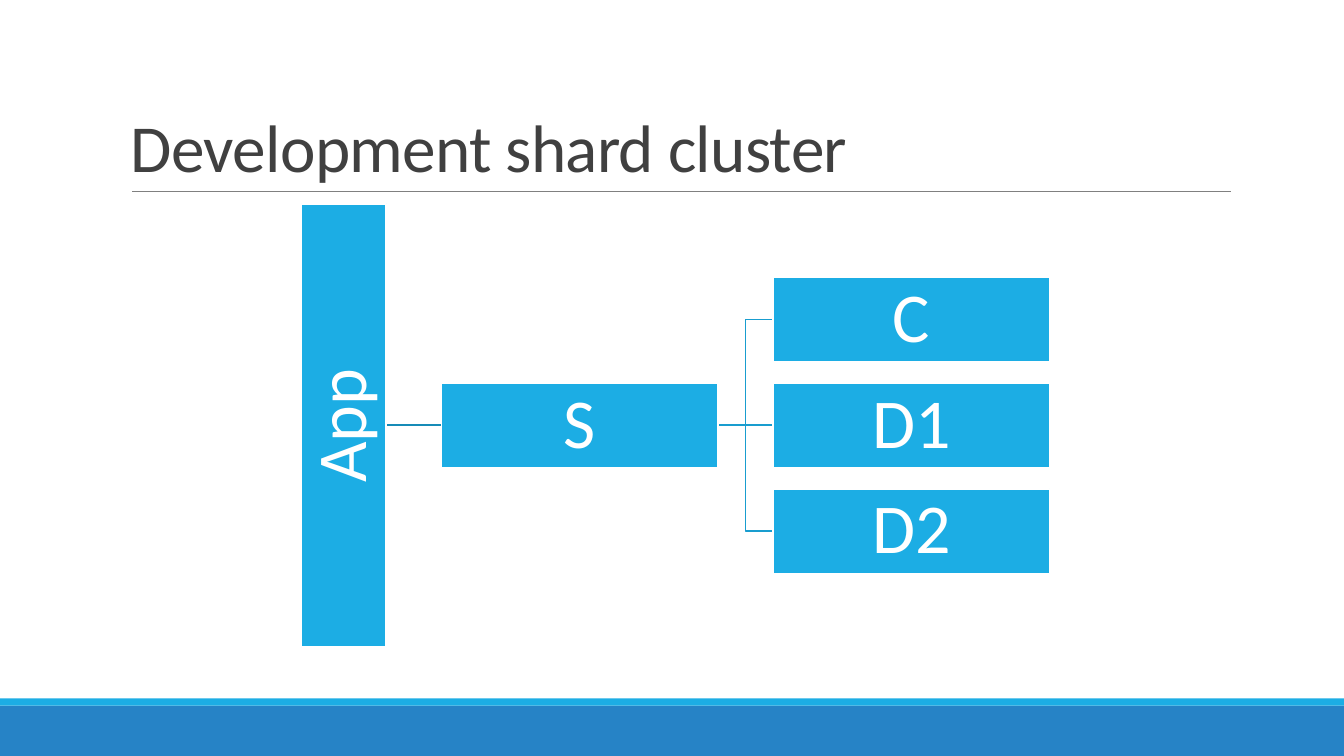
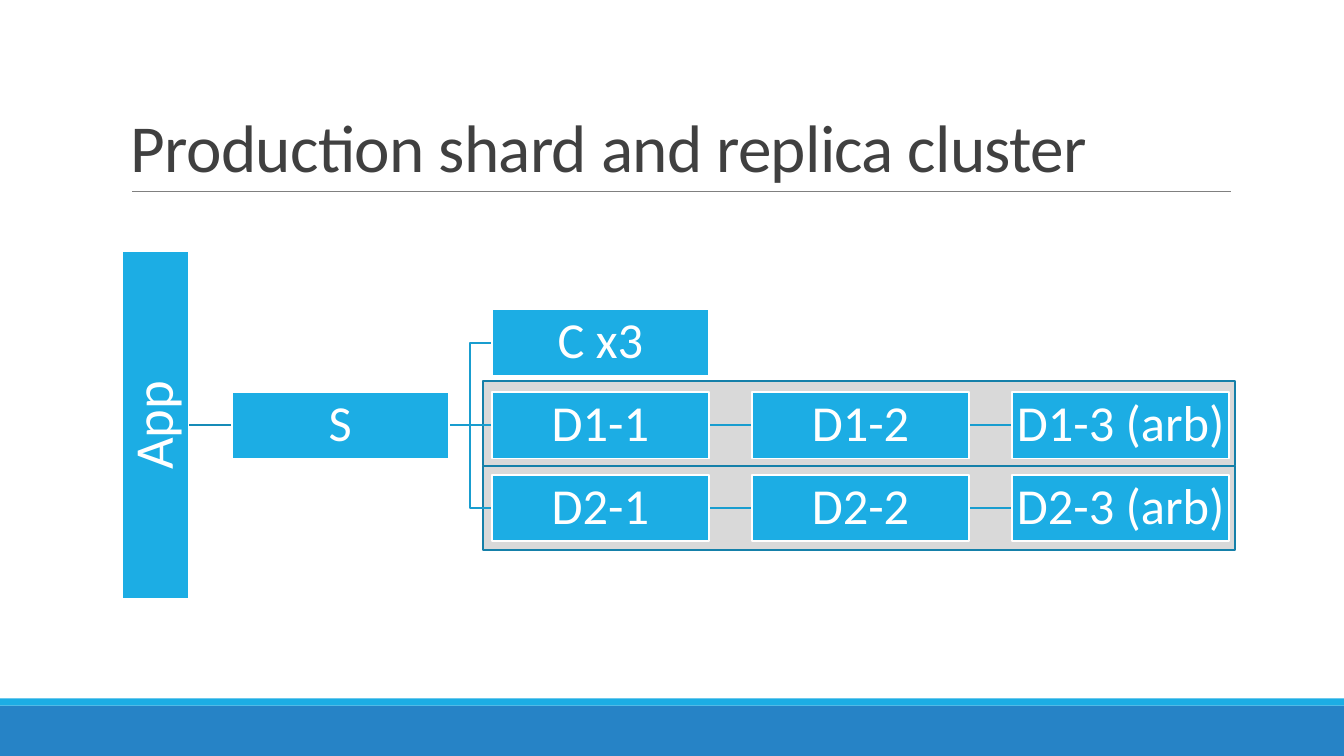
from pptx import Presentation
from pptx import util as u
from pptx.dml.color import RGBColor
from pptx.enum import shapes, text
from pptx.oxml.ns import qn
from lxml import etree

COLOURS = {
    "footer": "2683C6", "node": "1CADE4", "white": "FFFFFF", "title": "404040",
    "rule": "808080", "app_link": "168BB7", "link": "199DCF",
    "replica": "D9D9D9", "replica_edge": "1580A9",
}
FONT = "Calibri"
MIDDLE = 4.22  # height of the App - S axis on both slides

TITLE_FRAME = {"word_wrap": True, "vertical_anchor": text.MSO_ANCHOR.BOTTOM}
NODE_FRAME = {
    "word_wrap": False, "vertical_anchor": text.MSO_ANCHOR.MIDDLE,
    "margin_left": u.Inches(0.03), "margin_right": u.Inches(0.03),
    "margin_top": u.Inches(0.03), "margin_bottom": u.Inches(0.03),
}
TITLE_PARAGRAPH = {"line_spacing": 0.85, "alignment": text.PP_ALIGN.LEFT}
NODE_PARAGRAPH = {"line_spacing": 0.9, "alignment": text.PP_ALIGN.CENTER}

CLUSTERS = [
    {"title": "Development shard cluster", "left": 2.99, "app_length": 4.4,
     "width": 2.74, "height": 0.84, "gap": 0.55, "pitch": 1.05,
     "app_size": 50, "size": 50, "rows": [["C"], ["D1"], ["D2"]],
     "replica_tops": []},
    {"title": "Production shard and replica cluster", "left": 1.21, "app_length": 3.45,
     "width": 2.15, "height": 0.66, "gap": 0.43, "pitch": 0.82,
     "app_size": 39, "size": 36,
     "rows": [["C x3"], ["D1-1", "D1-2", "D1-3 (arb)"], ["D2-1", "D2-2", "D2-3 (arb)"]],
     "replica_tops": [4.62, 3.78]},
]


def box(slide, area, fill=None, edge=None, words="", size=0, ink="white",
        frame=NODE_FRAME, paragraph=NODE_PARAGRAPH):
    """Add a rectangle, or a bare text box when fill is None, and its words."""
    area = [u.Inches(length) for length in area]
    if fill:
        shape = slide.shapes.add_shape(shapes.MSO_SHAPE.RECTANGLE, *area)
        shape.shadow.inherit = False
        shape.fill.solid()
        shape.fill.fore_color.rgb = RGBColor.from_string(COLOURS[fill])
        if edge:
            shape.line.color.rgb = RGBColor.from_string(COLOURS[edge])
            shape.line.width = u.Pt(1.25)
        else:
            shape.line.fill.background()
    else:
        shape = slide.shapes.add_textbox(*area)
    if words:
        for name, value in frame.items():
            setattr(shape.text_frame, name, value)
        line = shape.text_frame.paragraphs[0]
        for name, value in paragraph.items():
            setattr(line, name, value)
        run = line.add_run()
        run.text = words
        for name, value in {"name": FONT, "size": u.Pt(size)}.items():
            setattr(run.font, name, value)
        run.font.color.rgb = RGBColor.from_string(COLOURS[ink])
    return shape


def link(slide, start, end, colour="link", weight=1.25):
    """Join two points, with an elbow when they differ in height."""
    kind = shapes.MSO_CONNECTOR.STRAIGHT if start[1] == end[1] else shapes.MSO_CONNECTOR.ELBOW
    connector = slide.shapes.add_connector(
        kind, *(u.Inches(length) for length in (*start, *end)))
    connector.line.color.rgb = RGBColor.from_string(COLOURS[colour])
    connector.line.width = u.Pt(weight)
    etree.SubElement(connector._element.spPr, qn("a:effectLst"))


deck = Presentation()
deck.slide_width = u.Inches(13.33)
deck.slide_height = u.Inches(7.5)

for cluster in CLUSTERS:
    slide = deck.slides.add_slide(deck.slide_layouts[6])
    box(slide, (0, 7, 13.33, 0.5), "footer")
    box(slide, (0, 6.93, 13.33, 0.07), "node")
    link(slide, (1.31, 1.9), (12.21, 1.9), "rule", 0.5)
    title = box(slide, (1.2, 0.31, 11, 1.59), words=cluster["title"], size=48,
                ink="title", frame=TITLE_FRAME, paragraph=TITLE_PARAGRAPH)
    title.text_frame.paragraphs[0].runs[0]._r.get_or_add_rPr().set("spc", "-50")

    for top in cluster["replica_tops"]:
        box(slide, (4.79, top, 7.46, 0.84), "replica", "replica_edge")

    width, height, gap = cluster["width"], cluster["height"], cluster["gap"]
    app_right = cluster["left"] + height
    router_left = app_right + gap
    router_right = router_left + width

    # Every server sits one column right of its parent, rows centred on the axis
    servers = []
    for row, names in enumerate(cluster["rows"]):
        centre = MIDDLE + (row - 1) * cluster["pitch"]
        for column, name in enumerate(names):
            left = router_right + gap + column * (width + gap)
            parent_centre = centre if column else MIDDLE
            link(slide, (left - gap, parent_centre), (left, centre))
            servers.append((name, left, centre))
    link(slide, (app_right, MIDDLE), (router_left, MIDDLE), "app_link")

    length = cluster["app_length"]
    app = box(slide, (cluster["left"] + (height - length) / 2, MIDDLE - height / 2,
                      length, height), "node", "white", "App", cluster["app_size"])
    app.rotation = 270
    for name, left, centre in [("S", router_left, MIDDLE), *servers]:
        box(slide, (left, centre - height / 2, width, height),
            "node", "white", name, cluster["size"])

deck.save("out.pptx")
